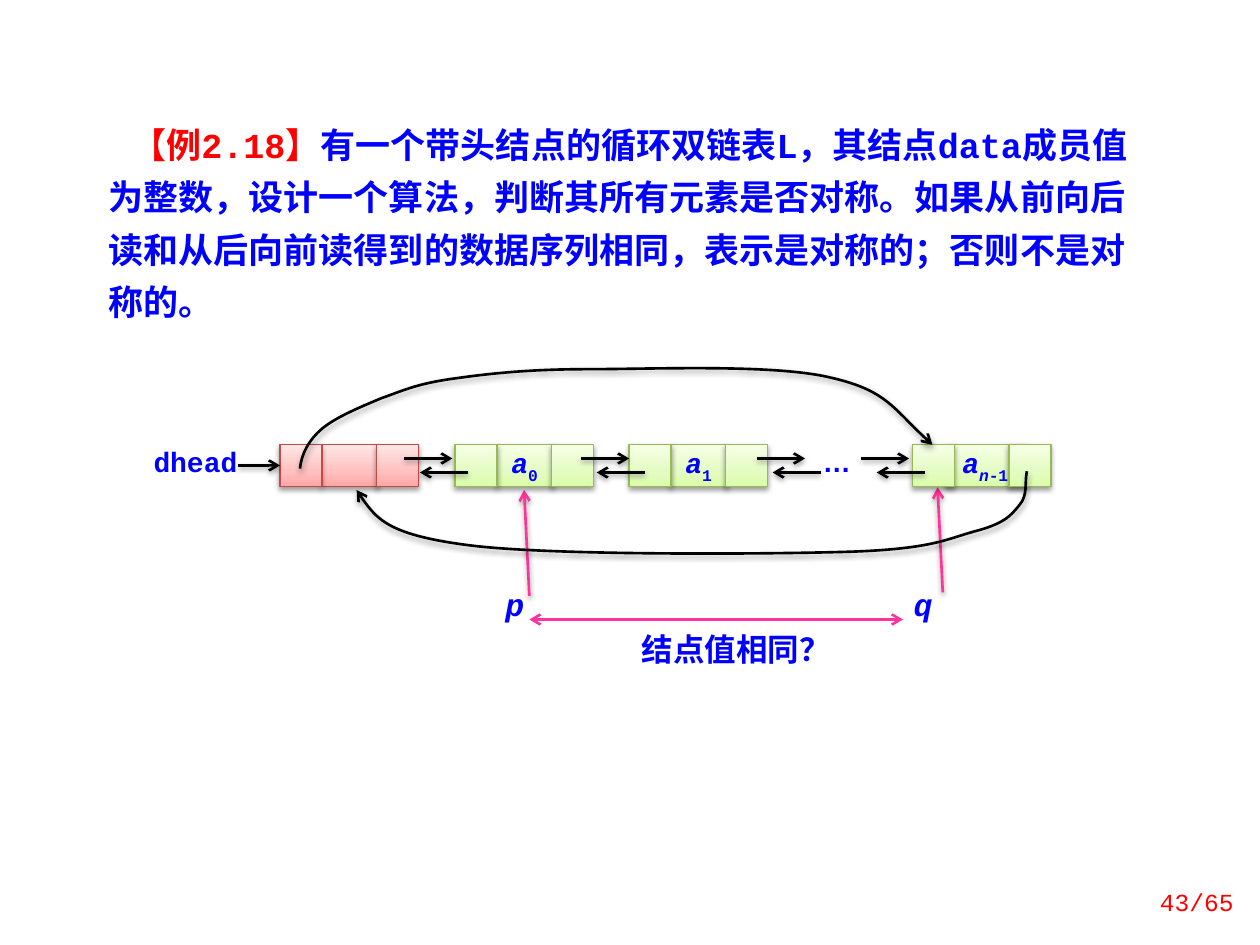
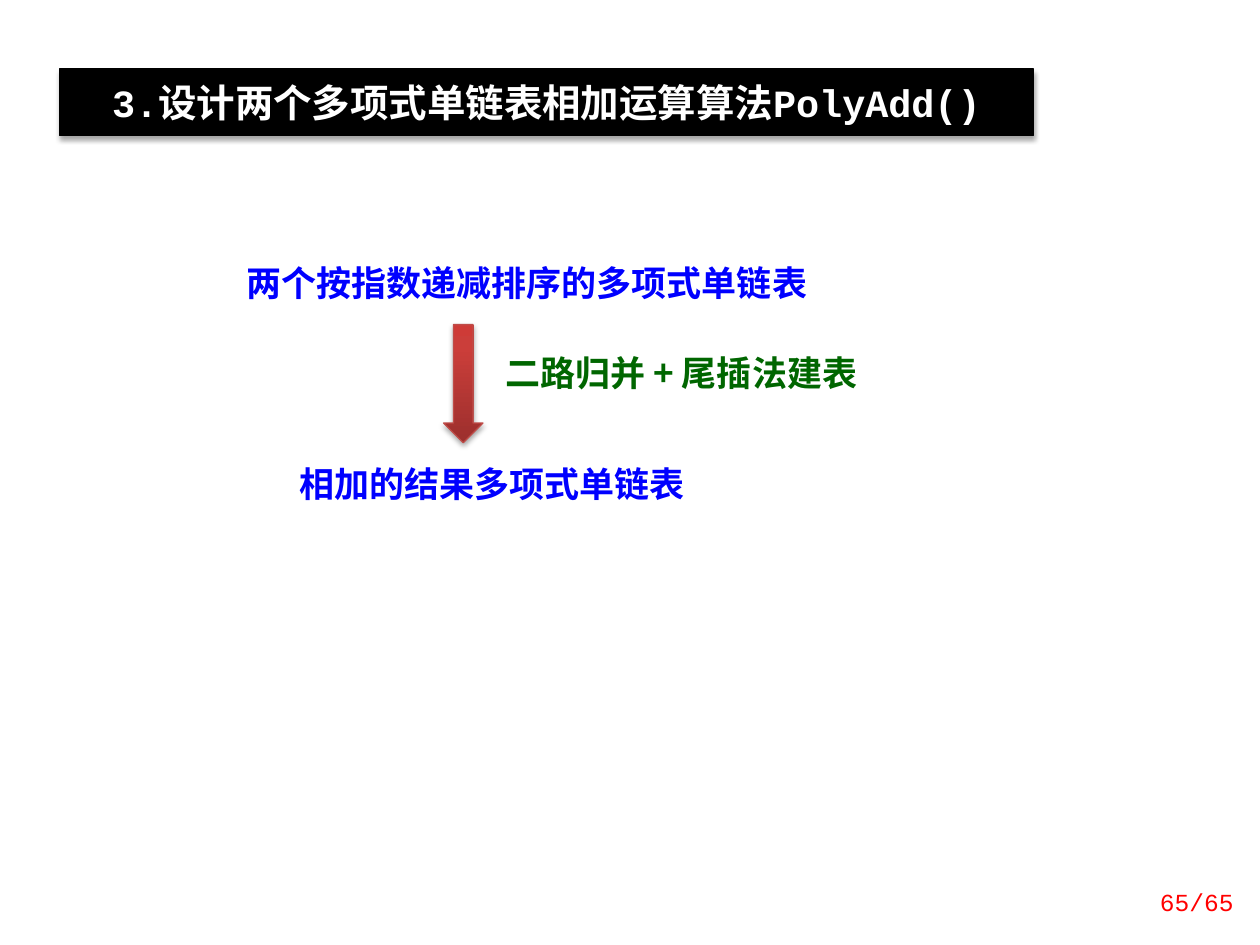
import lxml.etree
import pptx
import pptx.dml.color
import pptx.enum.shapes
import pptx.enum.text
import pptx.oxml.ns
import pptx.util

Pt = pptx.util.Pt
qn = pptx.oxml.ns.qn
SHAPES = pptx.enum.shapes.MSO_SHAPE
ALIGN = pptx.enum.text.PP_ALIGN
ANCHOR = pptx.enum.text.MSO_ANCHOR

COLORS = {
    "text": "0000FF", "mark": "FF0000", "method": "006600", "pointer": "FF3399",
    "ink": "000000", "paper": "FFFFFF", "red line": "BF4C48", "green line": "98B955",
}
# Gradient stops run from bottom to top: (percent, colour).
GRADIENTS = {
    "red": [(0, "FFA6A5"), (35, "FFC0BF"), (100, "FFE7E7")],
    "green": [(0, "DAFDA7"), (35, "E4FCC2"), (100, "F5FFE7")],
    "deep red": [(0, "9C2F2D"), (80, "CB3E3A"), (100, "CE3B37")],
}
CODE_FONT = "Courier New"
EAST_FONT = "Noto Sans CJK SC"
INSETS = (7.2, 3.6, 7.2, 3.6)
CELL_HEIGHT = 24

RETURN_TO_HEAD = [
    (502.8, 61.3), (501.4, 68.5), (503.5, 75), (498.5, 80.7),
    (493.4, 87.2), (489.1, 91.5), (472.6, 95.8),
    (456.7, 100.2), (448.1, 105.9), (399.8, 107.4),
    (351.6, 108.8), (231.4, 109.5), (185.3, 103.8),
    (138.5, 98), (128.4, 85.8), (119.8, 72.1),
]
HEAD_TO_LAST = [
    (87.4, 59.8), (88.1, 51.9), (92.4, 43.3), (100.3, 36.8),
    (108.2, 30.3), (121.9, 24.6), (134.2, 19.5),
    (146.4, 15.2), (153.6, 11.6), (173, 8.7),
    (193.2, 5.8), (216.2, 3), (252.2, 3),
    (288.2, 3), (355.2, 0.1), (388.3, 7.3),
    (421.4, 14.5), (425.8, 25.3), (448.8, 46.2),
]


def rgb(name):
    return pptx.dml.color.RGBColor.from_string(COLORS[name])


def add_xml(parent, tag, **attributes):
    child = lxml.etree.SubElement(parent, qn(tag))
    for key, value in attributes.items():
        child.set(key, str(value))
    return child


def write_text(frame, spans, align=ALIGN.CENTER, spacing=None, indent=0,
               insets=INSETS, anchor=ANCHOR.TOP, wrap=True, **base):
    """Fill a frame with one paragraph of (text, format) spans."""
    frame.word_wrap = wrap
    frame.vertical_anchor = anchor
    (frame.margin_left, frame.margin_top,
     frame.margin_right, frame.margin_bottom) = map(Pt, insets)
    para = frame.paragraphs[0]
    para.alignment = align
    if spacing:
        para.line_spacing = spacing
    if indent:
        para._p.get_or_add_pPr().set("indent", str(Pt(indent)))
    for text, changes in spans:
        add_span(para, text, **{**base, **changes})


def add_span(para, text, size=20, font=CODE_FONT, east=EAST_FONT, color="text",
             bold=True, italic=False, baseline=0):
    span = para.add_run()
    span.text = text
    span.font.size, span.font.bold, span.font.italic = Pt(size), bold, italic
    span.font.color.rgb = rgb(color)
    span.font.name = font
    properties = span._r.get_or_add_rPr()
    add_xml(properties, "a:ea", typeface=east)
    if baseline:
        properties.set("baseline", str(baseline * 1000))


def add_label(page, box, text, fill=None, **format):
    label = page.shapes.add_textbox(*map(Pt, box))
    if fill:
        label.fill.solid()
        label.fill.fore_color.rgb = rgb(fill)
    spans = [(text, {})] if isinstance(text, str) else text
    write_text(label.text_frame, spans, **format)


def add_shadow(shape, strength=38, distance=1.6):
    properties = shape._element.spPr
    effects = properties.find(qn("a:effectLst"))
    if effects is None:
        effects = add_xml(properties, "a:effectLst")
    shadow = add_xml(effects, "a:outerShdw", blurRad=Pt(3.1), dist=Pt(distance),
                     dir=90 * 60000, algn="ctr", rotWithShape=0)
    color = add_xml(shadow, "a:srgbClr", val=COLORS["ink"])
    add_xml(color, "a:alpha", val=strength * 1000)


def add_block(page, kind, box, line, gradient=None, fill=None, **shadow):
    block = page.shapes.add_shape(kind, *map(Pt, box))
    block.shadow.inherit = False
    if gradient:
        block.fill.gradient()
        block.fill.gradient_angle = 90
        stops = block._element.spPr.find(".//" + qn("a:gsLst"))
        for stop in list(stops):
            stops.remove(stop)
        for percent, color in GRADIENTS[gradient]:
            add_xml(add_xml(stops, "a:gs", pos=percent * 1000), "a:srgbClr", val=color)
    else:
        block.fill.solid()
        block.fill.fore_color.rgb = rgb(fill)
    block.line.color.rgb = rgb(line)
    block.line.width = Pt(0.75)
    add_shadow(block, **shadow)
    return block


def style_line(shape, color, ends):
    shape.line.color.rgb = rgb(color)
    shape.line.width = Pt(1.5)
    for end in ends:
        add_xml(shape.line._get_or_add_ln(), end, type="arrow")


def add_arrow(page, start, end, color="ink", ends=("a:tailEnd",), shadow=True):
    arrow = page.shapes.add_connector(
        pptx.enum.shapes.MSO_CONNECTOR.STRAIGHT, *map(Pt, (*start, *end)))
    style_line(arrow, color, ends)
    add_xml(arrow._element.spPr, "a:effectLst")
    if shadow:
        add_shadow(arrow)
    return arrow


def add_curve(page, left, top, points):
    """Draw a Bézier arrow: a start point, then three points for each piece."""
    places = [(Pt(left + x), Pt(top + y)) for x, y in points]
    builder = page.shapes.build_freeform(*places[0])
    builder.add_line_segments(places[1:], close=False)
    curve = builder.convert_to_shape()
    outline = curve._element.spPr.find(".//" + qn("a:path"))
    steps = outline.findall(qn("a:lnTo"))
    for index in range(0, len(steps), 3):
        piece = add_xml(outline, "a:cubicBezTo")
        for step in steps[index:index + 3]:
            piece.append(step[0])
            outline.remove(step)
    curve.fill.background()
    style_line(curve, "ink", ("a:tailEnd",))
    curve.shadow.inherit = False
    add_shadow(curve)


def add_node(page, left, top, color, label=None, middle=(23.5, 32.5)):
    """Draw a three-cell node and return its left cell."""
    for offset, width in (middle, (55, 24), (0, 24)):
        cell = add_block(page, SHAPES.RECTANGLE, (left + offset, top, width, CELL_HEIGHT),
                         color + " line", gradient=color)
        if label and (offset, width) == middle:
            write_text(cell.text_frame, label, spacing=Pt(23), size=16,
                       insets=(7.2, 0, 7.2, 0), wrap=False)
    return cell


def add_links(page, left, top):
    add_arrow(page, (left, top + 8), (left + 27.5, top + 8))
    add_arrow(page, (left + 36.5, top + 16), (left + 9, top + 16))


def add_pointers(page, left, top):
    """Draw p and q, and the comparison between them."""
    for name, label_left, width, x, tip, tail in (
            ("p", 190.5, 39.5, 215.5, 72, 132.5), ("q", 426.5, 34, 451.75, 70.5, 130.5)):
        add_label(page, (left + label_left, top + 127, width, 25), name,
                  size=18, italic=True, spacing=0.8)
        add_arrow(page, (left + x + 3, top + tail), (left + x, top + tip), "pointer")
    add_arrow(page, (left + 218.5, top + 146), (left + 432, top + 146), "pointer",
              ends=("a:headEnd", "a:tailEnd"), shadow=False)
    add_label(page, (left + 274.5, top + 148.5, 106.5, 29), "结点值相同？",
              size=18, font=EAST_FONT)


def add_linked_list(page, box):
    left, top = box[:2]
    add_pointers(page, left, top)
    row = top + 46
    head = add_node(page, left + 76, row, "red")
    add_label(page, (left, row, 61, CELL_HEIGHT), "dhead", fill="paper", size=16,
              insets=(1.5, 0, 7.2, 0))
    entry = add_arrow(page, (left + 52, row + 12), (left + 76, row + 12))
    entry.end_connect(head, 1)

    letter = ("a", {"italic": True})
    low = {"baseline": -30}
    add_node(page, left + 176, row, "green", [letter, ("0", low)])
    add_node(page, left + 275.5, row, "green", [letter, ("1", low)])
    add_node(page, left + 437.5, row, "green",
             [letter, ("n", {**low, "italic": True}), ("-1", low)], middle=(18.75, 45.5))
    add_label(page, (left + 376, row, 36.5, CELL_HEIGHT), "…", fill="paper", size=16,
              font="Arial", east="Arial", insets=(7.2, 0, 7.2, 0))
    for x in (147, 248, 348.5, 408):
        add_links(page, left + x, row)
    for points in (RETURN_TO_HEAD, HEAD_TO_LAST):
        add_curve(page, left, top, points)


def add_merge_flow(page, box):
    left, top = box[:2]
    phrase = {"font": EAST_FONT}
    add_label(page, (left, top, 366, 31.5), "两个按指数递减排序的多项式单链表",
              fill="paper", **phrase)
    add_label(page, (left + 34, top + 114.5, 258.5, 31.5), "相加的结果多项式单链表",
              fill="paper", **phrase)
    add_block(page, SHAPES.DOWN_ARROW, (left + 135.5, top + 39.5, 22.5, 67.5),
              "red line", gradient="deep red", strength=35, distance=1.8)
    add_label(page, (left + 163.5, top + 56, 253.5, 26.5), "二路归并 + 尾插法建表",
              align=ALIGN.LEFT, spacing=0.8, color="method", **phrase)


def add_title(page, text):
    band = add_block(page, SHAPES.RECTANGLE, (34, 39.5, 556.5, 38), "ink", fill="ink",
                     strength=35, distance=1.8)
    write_text(band.text_frame, [(text, {})], size=22, color="paper",
               insets=(7.2, 5.75, 7.2, 5.75))


def add_page(deck, number):
    page = deck.slides.add_slide(deck.slide_layouts[6])
    add_label(page, (646.5, 500.5, 65.5, 29), f"{number}/65", align=ALIGN.RIGHT,
              anchor=ANCHOR.MIDDLE, size=14, color="mark", bold=False)
    return page


def add_example_page(deck):
    page = add_page(deck, 43)
    question = ("有一个带头结点的循环双链表L，其结点data成员值为整数，设计一个算法，"
                "判断其所有元素是否对称。如果从前向后读和从后向前读得到的数据序列相同，"
                "表示是对称的；否则不是对称的。")
    add_label(page, (50.5, 56, 607.5, 135.5),
              [("【例2.18】", {"color": "mark"}), (question, {})], fill="paper",
              align=ALIGN.LEFT, spacing=Pt(30), indent=13, insets=(11.5, 8.6, 7.2, 8.6))
    add_linked_list(page, (84, 208, 520, 180))


def add_algorithm_page(deck):
    page = add_page(deck, 65)
    add_merge_flow(page, (118, 146, 417, 146))
    add_title(page, "3.设计两个多项式单链表相加运算算法PolyAdd()")


def main():
    deck = pptx.Presentation()
    deck.slide_width, deck.slide_height = Pt(720), Pt(540)
    add_example_page(deck)
    add_algorithm_page(deck)
    deck.save("out.pptx")


if __name__ == "__main__":
    main()
